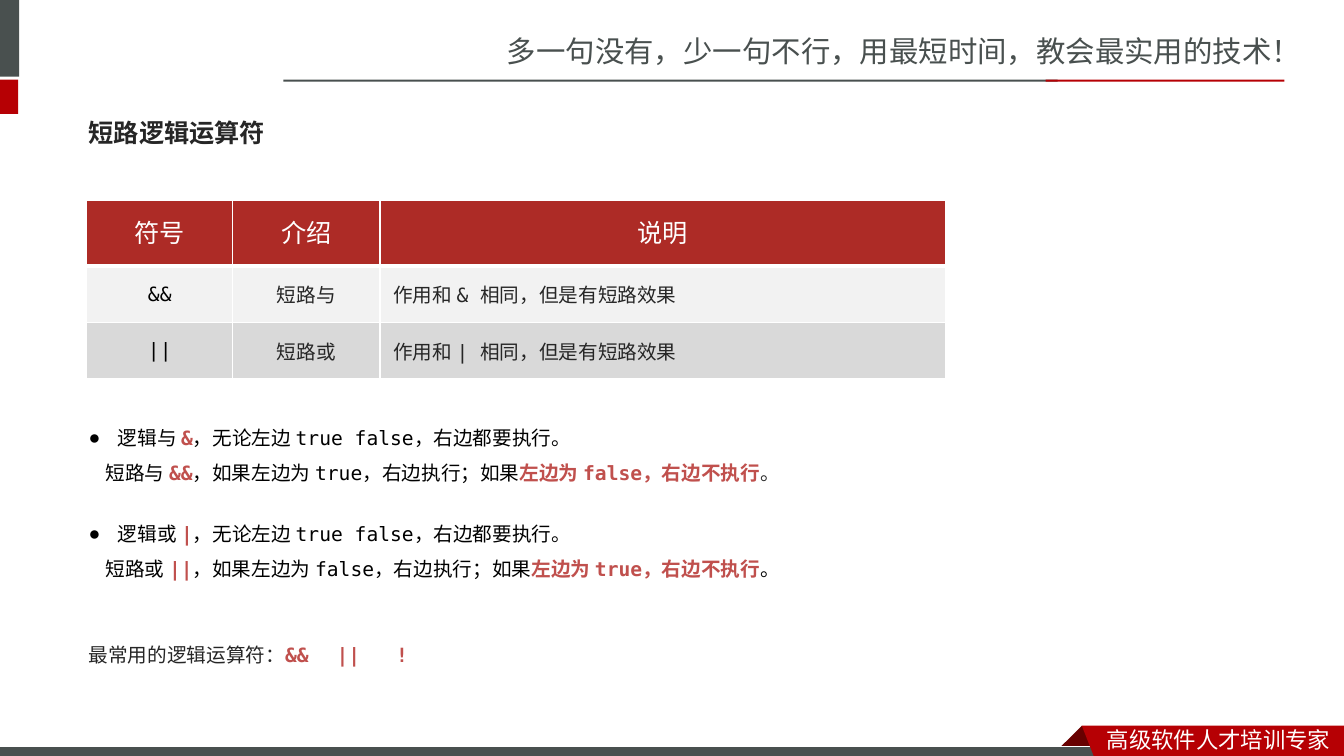
"""Build a slide on short-circuit logical operators."""
from dataclasses import dataclass

from lxml import etree
from pptx import Presentation
from pptx import util as u
from pptx.dml.color import RGBColor
from pptx.enum import shapes, text
from pptx.oxml import ns


@dataclass(frozen=True)
class Theme:
    """Colours, fonts and type sizes of the slide."""
    white: str = "FFFFFF"
    black: str = "000000"
    ink: str = "262626"
    grey: str = "49504F"
    red: str = "B60004"
    fold: str = "680000"
    accent: str = "C0504D"
    head: str = "AD2B26"
    bands: tuple = ("F2F2F2", "D9D9D9")
    cjk: str = "Noto Sans CJK SC"
    title_font: str = "Noto Sans CJK JP"
    mono: str = "DejaVu Sans Mono"
    sans: str = "Arial"
    slogan: int = 21
    heading: int = 18
    ribbon: int = 16
    body: int = 14


T = Theme()


def rgb(value):
    """Turn a hex string into a colour."""
    return RGBColor.from_string(value)


def sub(parent, tag, **attrs):
    """Append a drawing element with attributes."""
    el = etree.SubElement(parent, ns.qn(tag))
    for name, value in attrs.items():
        el.set(name, str(value))
    return el


def add_run(p, content, size=T.body, font=T.mono, ea=T.cjk, color=T.black, bold=False):
    """Add one formatted run to a paragraph."""
    r = p.add_run()
    r.text = content
    r.font.size = u.Pt(size)
    r.font.bold = bold
    r.font.color.rgb = rgb(color)
    r.font.name = font
    sub(r._r.get_or_add_rPr(), "a:ea", typeface=ea)


def add_box(s, x, y, w, h):
    """Add a wrapping text box and return its text frame."""
    tf = s.shapes.add_textbox(*map(u.Inches, (x, y, w, h))).text_frame
    tf.word_wrap = True
    return tf


def paint(sp, fill, line=None):
    """Give a shape a flat fill and an optional outline."""
    sp.shadow.inherit = False
    sp.fill.solid()
    sp.fill.fore_color.rgb = rgb(fill)
    if line:
        sp.line.color.rgb = rgb(line)
        sp.line.width = u.Pt(0.75)
    else:
        sp.line.fill.background()


def add_bar(s, x, y, w, h, fill, line=None):
    """Add a plain rectangle."""
    box = map(u.Inches, (x, y, w, h))
    paint(s.shapes.add_shape(shapes.MSO_SHAPE.RECTANGLE, *box), fill, line)


def add_outline(s, points, fill):
    """Add a closed polygon."""
    start, *rest = [(u.Inches(x), u.Inches(y)) for x, y in points]
    fb = s.shapes.build_freeform(*start)
    fb.add_line_segments(rest, close=True)
    paint(fb.convert_to_shape(), fill)


def add_frame(s):
    """Draw the header rules, slogan and footer ribbon."""
    p = add_box(s, 4.93, 0.28, 8.4, 0.47).paragraphs[0]
    add_run(p, "多一句没有，少一句不行，用最短时间，教会最实用的技术！",
            size=T.slogan, font=T.cjk, color=T.grey)
    add_bar(s, 0, 0, 0.19, 0.76, T.grey)
    add_bar(s, 0, 0.79, 0.18, 0.34, T.red)
    add_bar(s, 2.81, 0.79, 7.68, 0.02, T.grey)
    add_bar(s, 10.37, 0.79, 2.37, 0.02, T.red)
    add_outline(s, [(10.73, 7.2), (10.95, 7.42), (10.94, 7.43),
                    (10.52, 7.43), (10.51, 7.42)], T.fold)
    add_bar(s, -0.01, 7.41, 11, 0.12, T.grey, T.white)
    add_outline(s, [(10.73, 7.2), (13.33, 7.2), (13.33, 7.54), (10.86, 7.53)], T.red)
    p = add_box(s, 10.88, 7.15, 2.45, 0.37).paragraphs[0]
    add_run(p, "高级软件人才培训专家", size=T.ribbon, font=T.cjk, color=T.white)


def add_title(s, content):
    """Place and format the title placeholder."""
    sp = s.shapes.title
    sp.left, sp.top, sp.width, sp.height = map(u.Inches, (0.78, 1.03, 11.76, 0.57))
    tf = sp.text_frame
    tf.auto_size = text.MSO_AUTO_SIZE.NONE
    tf.vertical_anchor = text.MSO_ANCHOR.MIDDLE
    p = tf.paragraphs[0]
    p.alignment = text.PP_ALIGN.LEFT
    add_run(p, content, size=T.heading, font=T.title_font, ea=T.title_font,
            color=T.ink, bold=True)


def style_cell(cell, fill, top, bottom, inset):
    """Set the margins, white borders and fill of a cell."""
    cell.margin_left = cell.margin_right = u.Inches(inset[0])
    cell.margin_top = cell.margin_bottom = u.Inches(inset[1])
    cell.vertical_anchor = text.MSO_ANCHOR.MIDDLE
    tc_pr = cell._tc.get_or_add_tcPr()
    for side, width in zip("LRTB", (1, 1, top, bottom)):
        ln = sub(tc_pr, f"a:ln{side}", w=u.Pt(width))
        sub(sub(ln, "a:solidFill"), "a:srgbClr", val=T.white)
    cell.fill.solid()
    cell.fill.fore_color.rgb = rgb(fill)


def add_operator_table(s, rows):
    """Add the operator table with a header row."""
    widths, heights = (1.45, 1.46, 5.61), (0.65, 0.56, 0.56)
    box = map(u.Inches, (0.86, 1.99, sum(widths), sum(heights)))
    table = s.shapes.add_table(len(rows), len(widths), *box).table
    for col, width in zip(table.columns, widths):
        col.width = u.Inches(width)
    for i, row in enumerate(rows):
        table.rows[i].height = u.Inches(heights[i])
        for j, content in enumerate(row):
            cell = table.cell(i, j)
            p = cell.text_frame.paragraphs[0]
            p.alignment = text.PP_ALIGN.LEFT if i and j == 2 else text.PP_ALIGN.CENTER
            if i == 0:
                style_cell(cell, T.head, 1, 3, (0.1, 0.05))
                p.line_spacing = u.Pt(24)
                add_run(p, content, size=T.heading, font=T.sans, color=T.white)
            else:
                style_cell(cell, T.bands[i - 1], 3 if i == 1 else 1, 1, (0.13, 0.07))
                add_run(p, content, color=T.ink if j else T.black)


def add_rule(s, y, h, kind, plain, short, go, stop, end):
    """Add a bulleted comparison of a plain and a short-circuit operator."""
    tf = add_box(s, 0.78, y, 8.6, h)
    first, second = tf.paragraphs[0], tf.add_paragraph()
    first.line_spacing = second.line_spacing = 1.5
    p_pr = first._p.get_or_add_pPr()
    p_pr.set("marL", str(u.Inches(0.29)))
    p_pr.set("indent", str(u.Inches(-0.29)))
    sub(p_pr, "a:buFont", typeface=T.sans)
    sub(p_pr, "a:buChar", char="●")
    second._p.get_or_add_pPr().set("marL", str(u.Inches(0.17)))
    add_run(first, f"逻辑{kind} ")
    add_run(first, plain, color=T.accent, bold=True)
    add_run(first, "，无论左边 true false，右边都要执行。")
    add_run(second, f"短路{kind} ")
    add_run(second, short, color=T.accent, bold=True)
    add_run(second, f"，如果左边为 {go}，右边执行；如果")
    add_run(second, f"左边为 {stop}，右边不执行", color=T.accent, bold=True)
    add_run(second, "。", color=end)


def add_summary(s):
    """Add the line of most used operators, spaced by tab stops."""
    p = add_box(s, 0.78, 6.21, 8.11, 0.42).paragraphs[0]
    p.line_spacing = 1.5
    tabs = sub(p._p.get_or_add_pPr(), "a:tabLst")
    for pos in (2.46, 3.05):
        sub(tabs, "a:tab", pos=u.Inches(pos), algn="l")
    add_run(p, "最常用的逻辑运算符：", color=T.ink)
    add_run(p, "&&\t||\t!", color=T.accent, bold=True)


def main():
    """Build and save the presentation."""
    prs = Presentation()
    prs.slide_width, prs.slide_height = u.Inches(13.33), u.Inches(7.5)
    s = prs.slides.add_slide(prs.slide_layouts[5])
    add_frame(s)
    add_title(s, "短路逻辑运算符")
    add_operator_table(s, [("符号", "介绍", "说明"),
                           ("&&", "短路与", "作用和 & 相同，但是有短路效果"),
                           ("||", "短路或", "作用和 | 相同，但是有短路效果")])
    add_rule(s, 4.06, 0.77, "与", "&", "&&", "true", "false", T.ink)
    add_rule(s, 5.01, 0.77, "或", "|", "||", "false", "true", T.black)
    add_summary(s)
    prs.save("out.pptx")


if __name__ == "__main__":
    main()
